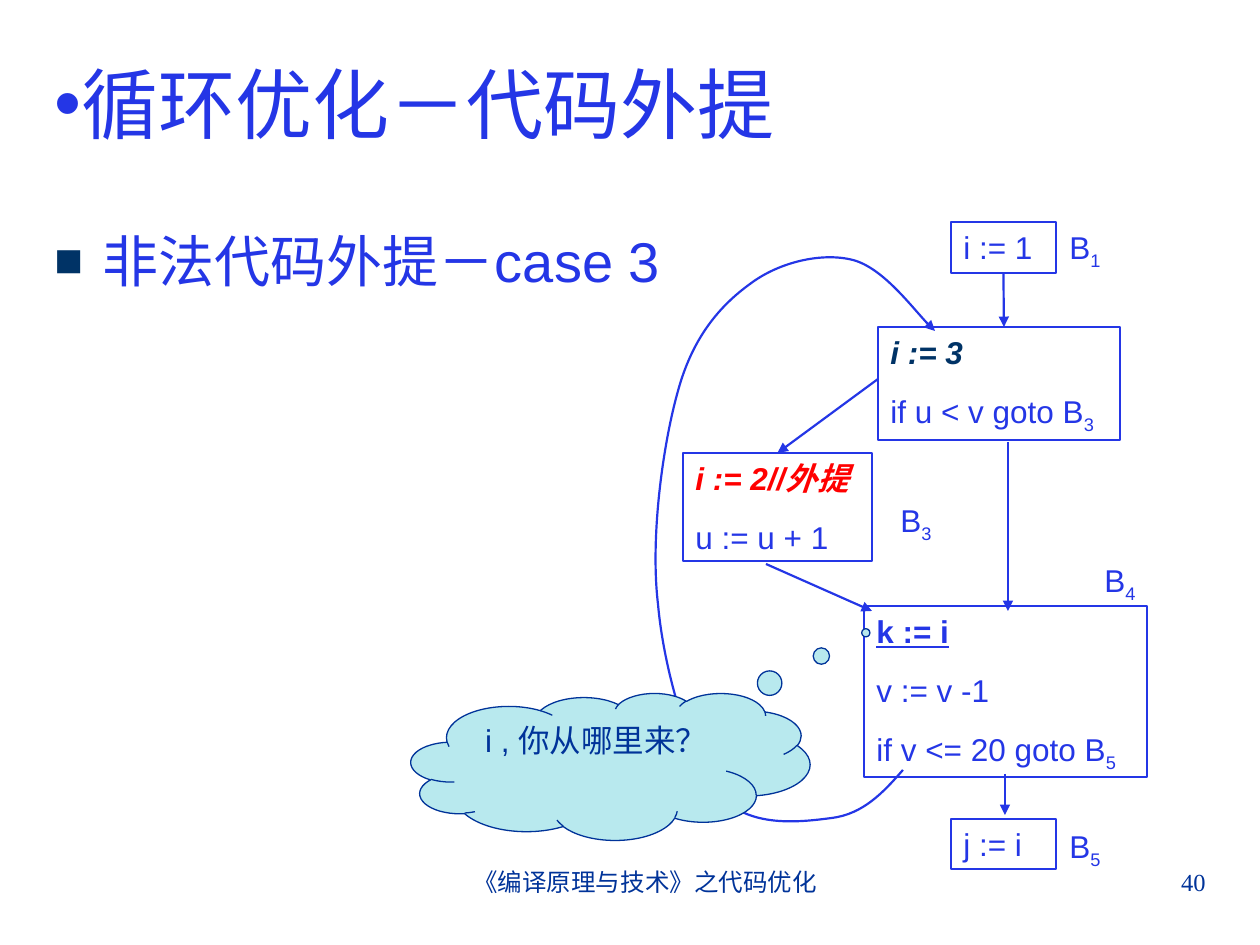
from lxml.etree import SubElement as Sub
from pptx import Presentation
from pptx.dml.color import RGBColor as RGB
from pptx.enum.shapes import MSO_CONNECTOR as CONN, MSO_SHAPE as SHAPE
from pptx.enum.text import MSO_ANCHOR as ANCHOR, PP_ALIGN as ALIGN
from pptx.oxml.ns import qn
from pptx.util import Inches, Pt

PX = 7257
C = {"blue": "2436E6", "navy": "003366", "red": "FF0000", "ink": "003399", "cloud": "B8E9EE"}


def write(s, paras, size, font="Arial", align=ALIGN.LEFT, before=0, bullet=None):
    tf = s.text_frame
    tf.word_wrap = True
    tf.vertical_anchor = ANCHOR.TOP
    for n, runs in enumerate(paras):
        p = tf.add_paragraph() if n else tf.paragraphs[0]
        if bullet:
            char, color, percent, indent = bullet
            pPr = p._p.get_or_add_pPr()
            pPr.set("marL", str(indent * PX))
            pPr.set("indent", str(-indent * PX))
            Sub(Sub(pPr, qn("a:buClr")), qn("a:srgbClr")).set("val", C[color])
            Sub(pPr, qn("a:buSzPct")).set("val", str(percent * 1000))
            Sub(pPr, qn("a:buFont")).set("typeface", "Arial")
            Sub(pPr, qn("a:buChar")).set("char", char)
        p.alignment = align
        if n:
            p.space_before = Pt(before)
        for text, color, style in runs:
            r = p.add_run()
            r.text = text
            r.font.name = font
            r.font.size = Pt(size)
            r.font.color.rgb = RGB.from_string(C[color])
            r.font.bold = "b" in style
            r.font.italic = "i" in style
            r.font.underline = "u" in style
            if "s" in style:
                r._r.get_or_add_rPr().set("baseline", "-25000")


def arrow(s):
    s.line.color.rgb = RGB.from_string(C["blue"])
    s.line.width = Pt(1.25)
    Sub(s.line._get_or_add_ln(), qn("a:tailEnd")).set("type", "triangle")


prs = Presentation()
prs.slide_width, prs.slide_height = Inches(10), Inches(7.5)
shapes = prs.slides.add_slide(prs.slide_layouts[6]).shapes

title = shapes.add_textbox(42 * PX, 32 * PX, 1177 * PX, 141 * PX)
write(title, [[("循环优化－代码外提", "blue", "")]], 44, bullet=("•", "blue", 100, 0))
title.text_frame.vertical_anchor = ANCHOR.MIDDLE

body = shapes.add_textbox(42 * PX, 220 * PX, 1177 * PX, 620 * PX)
write(body, [[("非法代码外提－case 3", "blue", "")]], 32, bullet=("■", "navy", 85, 48))

blocks = [
    (951, 222, 105, 51, [[("i := 1", "blue", "")]]),
    (878, 327, 242, 113, [[("i := 3", "navy", "bi")],
                          [("if u < v goto B", "blue", ""), ("3", "blue", "s")]]),
    (683, 453, 189, 108, [[("i := 2//外提", "red", "bi")], [("u := u + 1", "blue", "")]]),
    (864, 606, 283, 171, [[("k := i", "blue", "bu")], [("v := v -1", "blue", "")],
                          [("if v <= 20 goto B", "blue", ""), ("5", "blue", "s")]]),
    (951, 819, 105, 50, [[("j := i", "blue", "")]]),
]
boxes = []
for x, y, w, h, paras in blocks:
    s = shapes.add_shape(SHAPE.RECTANGLE, x * PX, y * PX, w * PX, h * PX)
    s.shadow.inherit = False
    s.fill.background()
    s.line.color.rgb = RGB.from_string(C["blue"])
    s.line.width = Pt(1.25)
    s.text_frame.margin_right = 0
    write(s, paras, 18, before=12)
    boxes.append(s)

for x, y, number in [(1057, 222, "1"), (888, 495, "3"), (1092, 555, "4"), (1057, 821, "5")]:
    s = shapes.add_textbox(x * PX, y * PX, 105 * PX, 55 * PX)
    write(s, [[("B", "blue", ""), (number, "blue", "s")]], 18)

links = [
    (1004, 273, 1004, 327, (boxes[0], 2), None),
    (878, 379, 777, 453, None, (boxes[2], 0)),
    (766, 564, 872, 611, None, None),
    (1005, 774, 1005, 815, None, None),
    (1008, 442, 1008, 611, None, None),
]
for x1, y1, x2, y2, begin, end in links:
    s = shapes.add_connector(CONN.STRAIGHT, x1 * PX, y1 * PX, x2 * PX, y2 * PX)
    arrow(s)
    Sub(s._element.spPr, qn("a:effectLst"))
    if begin:
        s.begin_connect(*begin)
    if end:
        s.end_connect(*end)

curve = [
    (883, 793), (863, 814), (832, 818), (801, 822), (748, 829), (719, 794),
    (690, 759), (664, 672), (658, 604), (650, 537), (663, 444), (678, 391),
    (693, 336), (721, 305), (750, 284), (779, 262), (822, 252), (853, 260),
    (883, 268), (921, 319), (935, 331),
]
builder = shapes.build_freeform(903, 770, scale=PX)
builder.add_line_segments(curve, close=False)
loop = builder.convert_to_shape()
loop.shadow.inherit = False
loop.fill.background()
arrow(loop)
segments = list(loop._element.iter(qn("a:lnTo")))
outline = segments[0].getparent()
for n, segment in enumerate(segments):
    if n % 3 == 0:
        bezier = Sub(outline, qn("a:cubicBezTo"))
    bezier.append(segment[0])
    outline.remove(segment)

cloud = shapes.add_shape(SHAPE.CLOUD_CALLOUT, 411 * PX, 693 * PX, 399 * PX, 147 * PX)
cloud.adjustments[0], cloud.adjustments[1] = 0.64, -0.91
cloud.shadow.inherit = False
cloud.fill.solid()
cloud.fill.fore_color.rgb = RGB.from_string(C["cloud"])
cloud.line.color.rgb = RGB.from_string(C["ink"])
cloud.line.width = Pt(0.75)
write(cloud, [[("i , 你从哪里来？", "ink", "")]], 18, align=ALIGN.CENTER)

footers = [(431, 399, "《编译原理与技术》之代码优化", ALIGN.CENTER), (903, 315, "40", ALIGN.RIGHT)]
for x, w, text, align in footers:
    s = shapes.add_textbox(x * PX, 861 * PX, w * PX, 66 * PX)
    s.text_frame.margin_left = 42 * PX
    write(s, [[(text, "ink", "")]], 14, font="Times New Roman", align=align)

prs.save("out.pptx")
